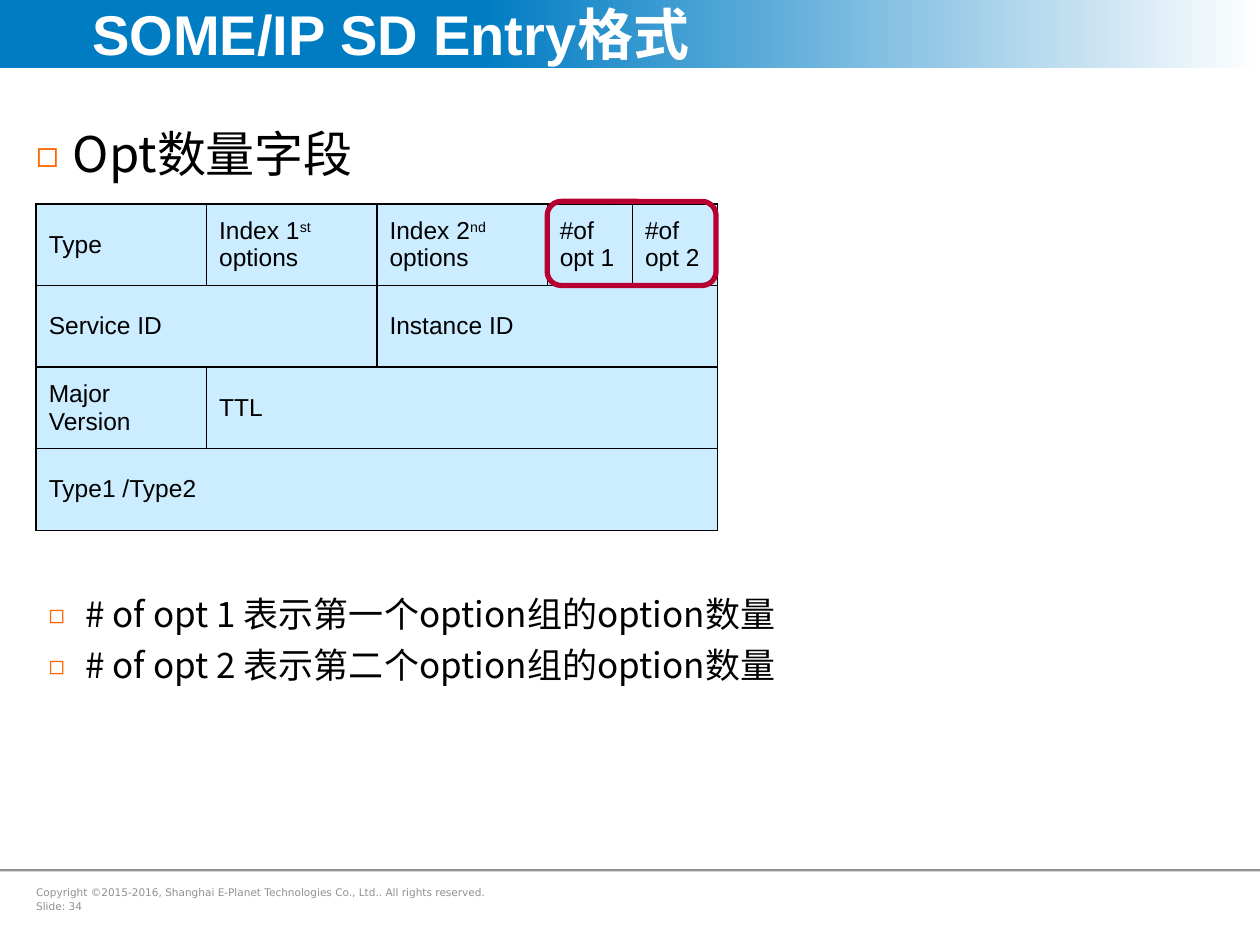
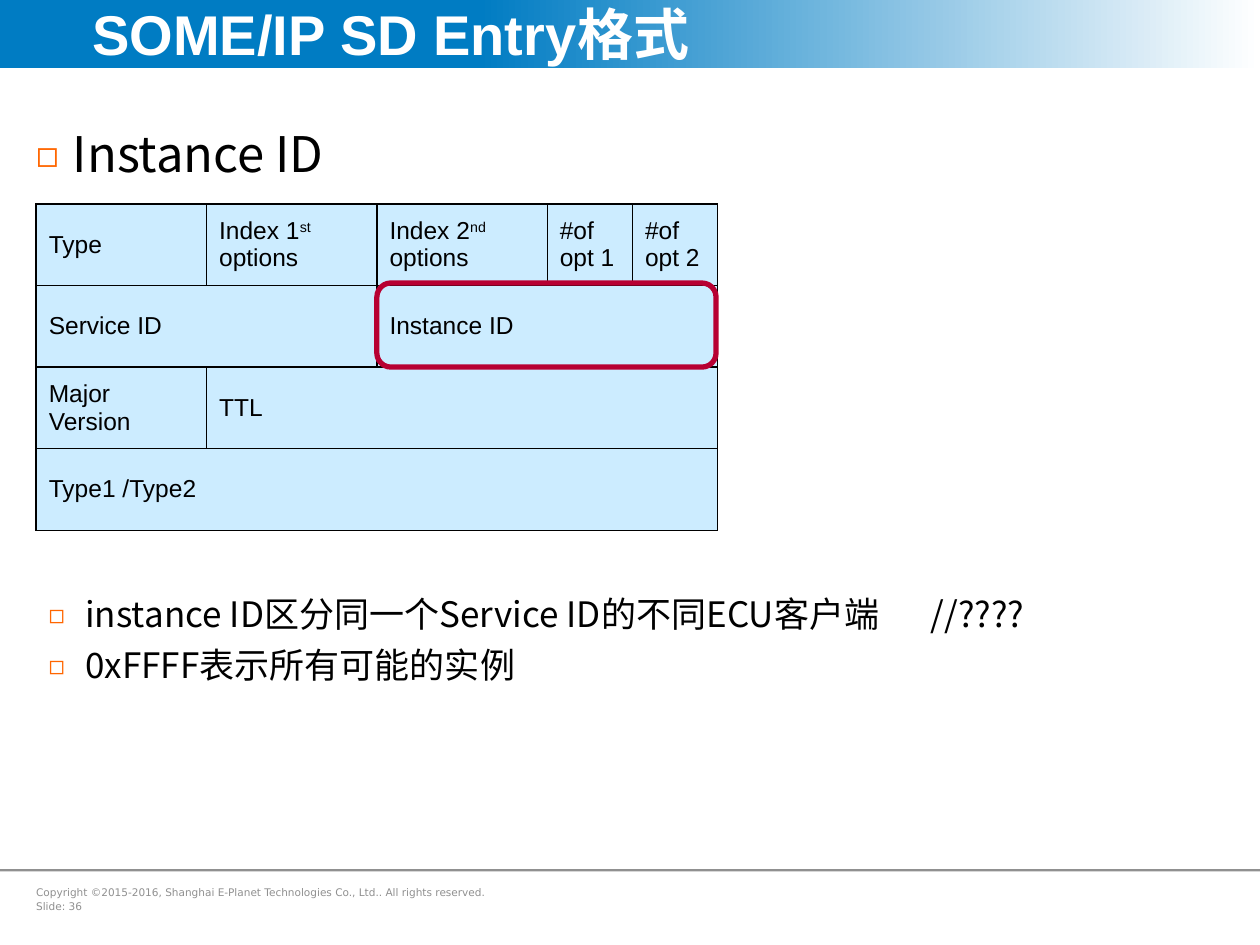
from lxml import etree
from pptx import Presentation
from pptx.dml.color import RGBColor
from pptx.enum import shapes, text
from pptx.oxml import ns
from pptx.util import Cm, Pt

COLORS = {
    "band": "007CC3", "white": "FFFFFF", "grey": "909090", "black": "000000",
    "bullet": "FF6600", "cell": "CCECFF", "highlight": "B70032",
}
CJK = "Noto Sans CJK SC"
STYLES = {
    "title": {"size": Pt(32), "name": "Arial", "bold": True, "color": "white"},
    "heading": {"size": Pt(28), "name": CJK, "color": "black"},
    "note": {"size": Pt(20), "name": CJK, "color": "black"},
    "cell": {"size": Pt(14), "name": "Arial", "color": "black"},
    "footer": {"size": Pt(6), "name": "DejaVu Sans", "color": "grey"},
}
SLIDE_W, SLIDE_H = 25.4, 19.05
LEFT = 0.73
INDENT = 0.74
TABLE_TOP = 4.11
ROW_H = 1.645
COL_UNIT = 1.717
COL_UNITS = [2, 2, 2, 1, 1]
ENTRY_ROWS = [
    [("Type", 1), ("Index 1^st^ options", 1), ("Index 2^nd^ options", 1),
     ("#of opt 1", 1), ("#of opt 2", 1)],
    [("Service ID", 2), ("Instance ID", 3)],
    [("Major Version", 1), ("TTL", 4)],
    [("Type1 /Type2", 5)],
]
TITLE = "SOME/IP SD Entry格式"
COPYRIGHT = ("Copyright ©2015-2016, Shanghai E-Planet Technologies Co., Ltd.. "
             "All rights reserved.")
PAGES = [
    {"number": 34, "heading": "Opt数量字段", "marked": (0, 3),
     "notes": ["# of opt 1 表示第一个option组的option数量",
               "# of opt 2 表示第二个option组的option数量"]},
    {"number": 36, "heading": "Instance ID", "marked": (1, 2),
     "notes": ["instance ID区分同一个Service ID的不同ECU客户端\t//????",
               "0xFFFF表示所有可能的实例"]},
]


def rgb(key):
    return RGBColor.from_string(COLORS[key])


def add_xml(parent, tag, **attributes):
    return etree.SubElement(parent, ns.qn(tag), attributes)


def set_format(target, values):
    for key, value in values.items():
        setattr(target, key, value)


def add_run(paragraph, words, style, raised=False):
    run = paragraph.add_run()
    run.text = words
    values = dict(STYLES[style])
    run.font.color.rgb = rgb(values.pop("color"))
    set_format(run.font, values)
    properties = run._r.get_or_add_rPr()
    add_xml(properties, "a:ea", typeface=CJK)
    if raised:
        properties.set("baseline", "30000")


def add_bullet(paragraph):
    properties = paragraph._p.get_or_add_pPr()
    properties.set("marL", str(Cm(INDENT)))
    properties.set("indent", str(-Cm(INDENT)))
    color = add_xml(properties, "a:buClr")
    add_xml(color, "a:srgbClr", val=COLORS["bullet"])
    add_xml(properties, "a:buSzPct", val="75000")
    add_xml(properties, "a:buFont", typeface=CJK)
    add_xml(properties, "a:buChar", char="◻")


def add_lines(slide, box, lines, style, inset=0.0, gap=0.0, bullets=False, **frame_values):
    frame = slide.shapes.add_textbox(*map(Cm, box)).text_frame
    set_format(frame, {"word_wrap": True, "margin_left": Cm(inset),
                       "margin_right": Cm(inset), **frame_values})
    for index, line in enumerate(lines):
        paragraph = frame.add_paragraph() if index else frame.paragraphs[0]
        if bullets:
            add_bullet(paragraph)
        if index:
            paragraph.space_before = Pt(gap)
        add_run(paragraph, line, style)


def add_band(slide, top, height):
    band = slide.shapes.add_shape(
        shapes.MSO_SHAPE.RECTANGLE, 0, Cm(top), Cm(SLIDE_W), Cm(height))
    band.shadow.inherit = False
    band.line.fill.background()
    return band.fill


def add_frame(slide, number):
    header = add_band(slide, 0, 1.37)
    header.gradient()
    header.gradient_angle = 0
    for stop, color, position in zip(header.gradient_stops, ("band", "white"), (0.38, 1)):
        stop.color.rgb = rgb(color)
        stop.position = position
    rule = add_band(slide, 17.52, 0.05)
    rule.solid()
    rule.fore_color.rgb = rgb("grey")
    add_lines(slide, (LEFT, 17.73, 9.75, 0.81), [COPYRIGHT, f"Slide: {number}"],
              "footer", gap=1.2)
    add_lines(slide, (1.55, 0, 20.24, 1.35), [TITLE], "title", inset=0.31,
              vertical_anchor=text.MSO_ANCHOR.MIDDLE)


def add_borders(cell):
    properties = cell._tc.get_or_add_tcPr()
    for index, side in enumerate(("a:lnL", "a:lnR", "a:lnT", "a:lnB")):
        border = etree.Element(ns.qn(side), w=str(Pt(1)))
        fill = add_xml(border, "a:solidFill")
        add_xml(fill, "a:srgbClr", val=COLORS["black"])
        properties.insert(index, border)


def add_entry_table(slide):
    table = slide.shapes.add_table(
        len(ENTRY_ROWS), len(COL_UNITS), Cm(LEFT), Cm(TABLE_TOP),
        Cm(COL_UNIT * sum(COL_UNITS)), Cm(ROW_H * len(ENTRY_ROWS))).table
    set_format(table, {"first_row": False, "horz_banding": False})
    for column, units in zip(table.columns, COL_UNITS):
        column.width = Cm(COL_UNIT * units)
    for cell in table.iter_cells():
        cell.fill.solid()
        cell.fill.fore_color.rgb = rgb("cell")
        cell.vertical_anchor = text.MSO_ANCHOR.MIDDLE
        add_borders(cell)
    for row, fields in enumerate(ENTRY_ROWS):
        column = 0
        for label, span in fields:
            cell = table.cell(row, column)
            if span > 1:
                cell.merge(table.cell(row, column + span - 1))
            for index, part in enumerate(label.split("^")):
                add_run(cell.text_frame.paragraphs[0], part, "cell", raised=index % 2 == 1)
            column += span


def add_highlight(slide, row, first_column):
    left = LEFT + COL_UNIT * sum(COL_UNITS[:first_column])
    width = COL_UNIT * sum(COL_UNITS[first_column:])
    outline = slide.shapes.add_shape(
        shapes.MSO_SHAPE.ROUNDED_RECTANGLE, Cm(left), Cm(TABLE_TOP + ROW_H * row - 0.05),
        Cm(width - 0.03), Cm(ROW_H + 0.05))
    outline.shadow.inherit = False
    outline.fill.background()
    outline.line.color.rgb = rgb("highlight")
    outline.line.width = Pt(3)


def main():
    deck = Presentation()
    set_format(deck, {"slide_width": Cm(SLIDE_W), "slide_height": Cm(SLIDE_H)})
    for page in PAGES:
        slide = deck.slides.add_slide(deck.slide_layouts[6])
        add_frame(slide, page["number"])
        add_lines(slide, (LEFT, 2.36, 23.47, 1.6), [page["heading"]], "heading", bullets=True)
        add_lines(slide, (LEFT, 11.81, 22.5, 2.39), page["notes"], "note",
                  inset=0.25, gap=5.3, bullets=True)
        add_entry_table(slide)
        add_highlight(slide, *page["marked"])
    deck.save("out.pptx")


if __name__ == "__main__":
    main()
